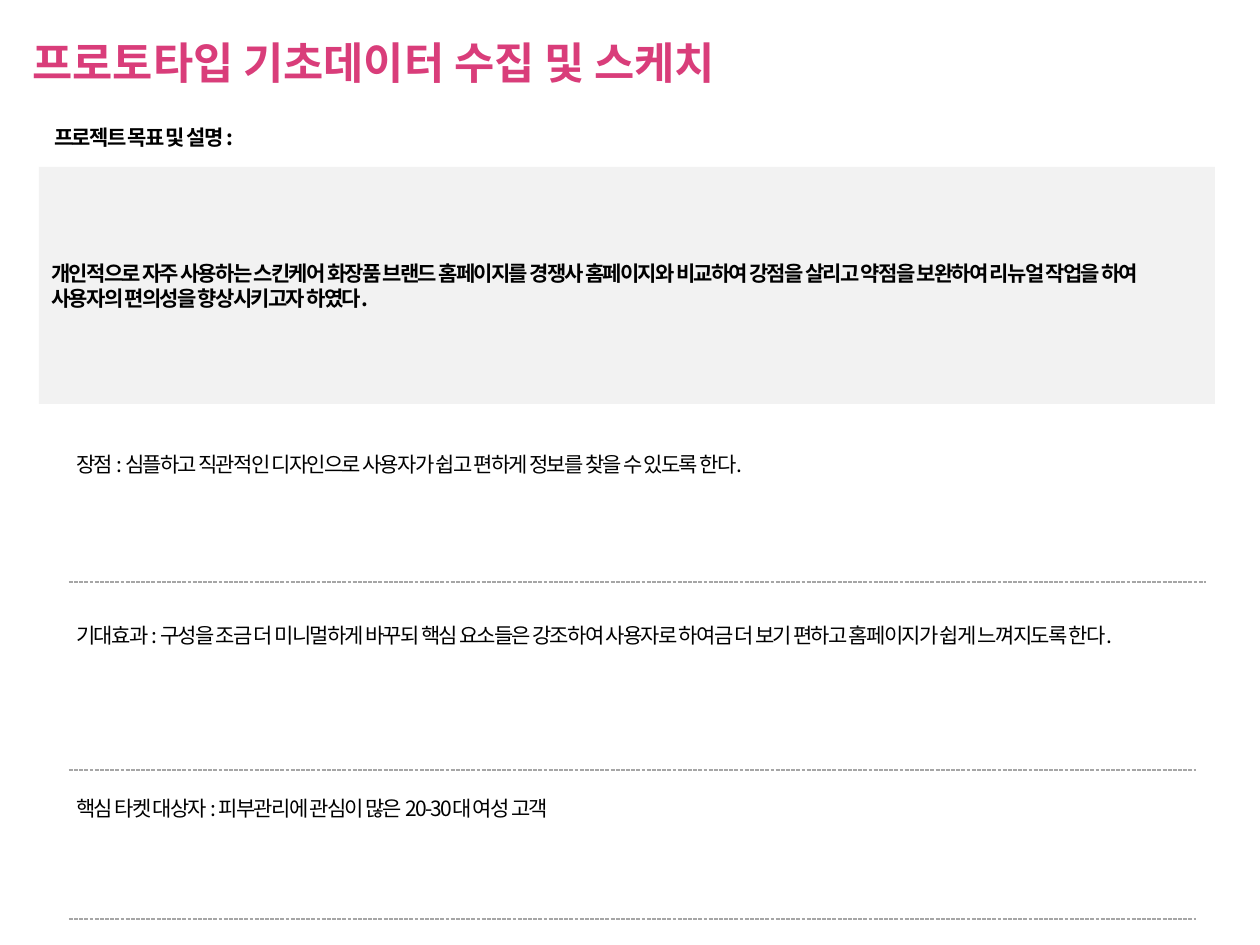
from lxml.etree import SubElement
from pptx import Presentation
from pptx.dml.color import RGBColor
from pptx.enum.dml import MSO_LINE
from pptx.enum.shapes import MSO_CONNECTOR, MSO_SHAPE
from pptx.enum.text import MSO_ANCHOR, MSO_AUTO_SIZE, PP_ALIGN
from pptx.oxml.ns import qn
from pptx.util import Emu, Pt

FONT = "Noto Sans CJK KR"
COLORS = {"title": "D93D7A", "text": "000000", "panel": "F2F2F2", "rule": "A6A6A6"}
HANG = 32

TITLE = "프로토타입 기초데이터 수집 및 스케치"
HEADING = "프로젝트 목표 및 설명 :"
GOAL = ("개인적으로 자주 사용하는 스킨케어 화장품 브랜드 홈페이지를 경쟁사 홈페이지와 비교하여 "
        "강점을 살리고 약점을 보완하여 리뉴얼 작업을 하여 사용자의 편의성을 향상시키고자 하였다.")
# text, top, height, y of the rule below, right end of the rule
ITEMS = [
    ("장점 : 심플하고 직관적인 디자인으로 사용자가 쉽고 편하게 정보를 찾을 수 있도록 한다.",
     433, 47, 582, 1206),
    ("기대효과 : 구성을 조금 더 미니멀하게 바꾸되 핵심 요소들은 강조하여 사용자로 하여금 "
     "더 보기 편하고 홈페이지가 쉽게 느껴지도록 한다.", 604, 89, 770, 1196),
    ("핵심 타켓 대상자 : 피부관리에 관심이 많은 20-30대 여성 고객", 777, 52, 919, 1196),
]


def px(n):
    return Emu(round(n * 914400 / 126))


def color(name):
    return RGBColor.from_string(COLORS[name])


def write(shape, text, size=12, bold=False, fill="text", tight=True,
          hang=False, anchor=MSO_ANCHOR.TOP, fit=MSO_AUTO_SIZE.SHAPE_TO_FIT_TEXT):
    """Fill a shape with one left-aligned paragraph; tight pulls letters 1 pt closer."""
    frame = shape.text_frame
    frame.word_wrap = True
    frame.auto_size = fit
    frame.vertical_anchor = anchor
    para = frame.paragraphs[0]
    para.alignment = PP_ALIGN.LEFT
    if hang:
        para.line_spacing = 1.5
        props = para._p.get_or_add_pPr()
        props.set("marL", str(px(HANG)))
        props.set("indent", str(-px(HANG)))
    run = para.add_run()
    run.text = text
    font = run.font
    font.name, font.size, font.bold = FONT, Pt(size), bold
    font.color.rgb = color(fill)
    props = run._r.get_or_add_rPr()
    SubElement(props, qn("a:ea")).set("typeface", FONT)
    if tight:
        props.set("spc", "-100")


def add_title(slide, text, x, y, w, h):
    title = slide.shapes.title
    title.left, title.top, title.width, title.height = map(px, (x, y, w, h))
    write(title, text, size=25, bold=True, fill="title", tight=False)


def add_panel(slide, text, x, y, w, h):
    panel = slide.shapes.add_shape(MSO_SHAPE.RECTANGLE, *map(px, (x, y, w, h)))
    panel.shadow.inherit = False
    panel.fill.solid()
    panel.fill.fore_color.rgb = color("panel")
    panel.line.fill.background()
    write(panel, text, bold=True, anchor=MSO_ANCHOR.MIDDLE, fit=MSO_AUTO_SIZE.NONE)


def add_label(slide, text, x, y, w, h, bold=False):
    box = slide.shapes.add_textbox(*map(px, (x, y, w, h)))
    write(box, text, bold=bold, hang=True)


def add_rule(slide, left, right, y):
    rule = slide.shapes.add_connector(MSO_CONNECTOR.STRAIGHT, *map(px, (left, y, right, y)))
    rule.line.color.rgb = color("rule")
    rule.line.width = Pt(0.75)
    rule.line.dash_style = MSO_LINE.SQUARE_DOT
    SubElement(rule._element.spPr, qn("a:effectLst"))


def main():
    deck = Presentation()
    deck.slide_width, deck.slide_height = px(1260), px(945)
    slide = deck.slides.add_slide(deck.slide_layouts[5])
    add_title(slide, TITLE, 20, 29, 955, 66)
    add_panel(slide, GOAL, 39, 167, 1176, 237)
    add_label(slide, HEADING, 42, 106, 238, 47, bold=True)
    for text, top, height, y, right in ITEMS:
        add_label(slide, text, 64, top, 1147, height)
        add_rule(slide, 69, right, y)
    deck.save("out.pptx")


if __name__ == "__main__":
    main()
